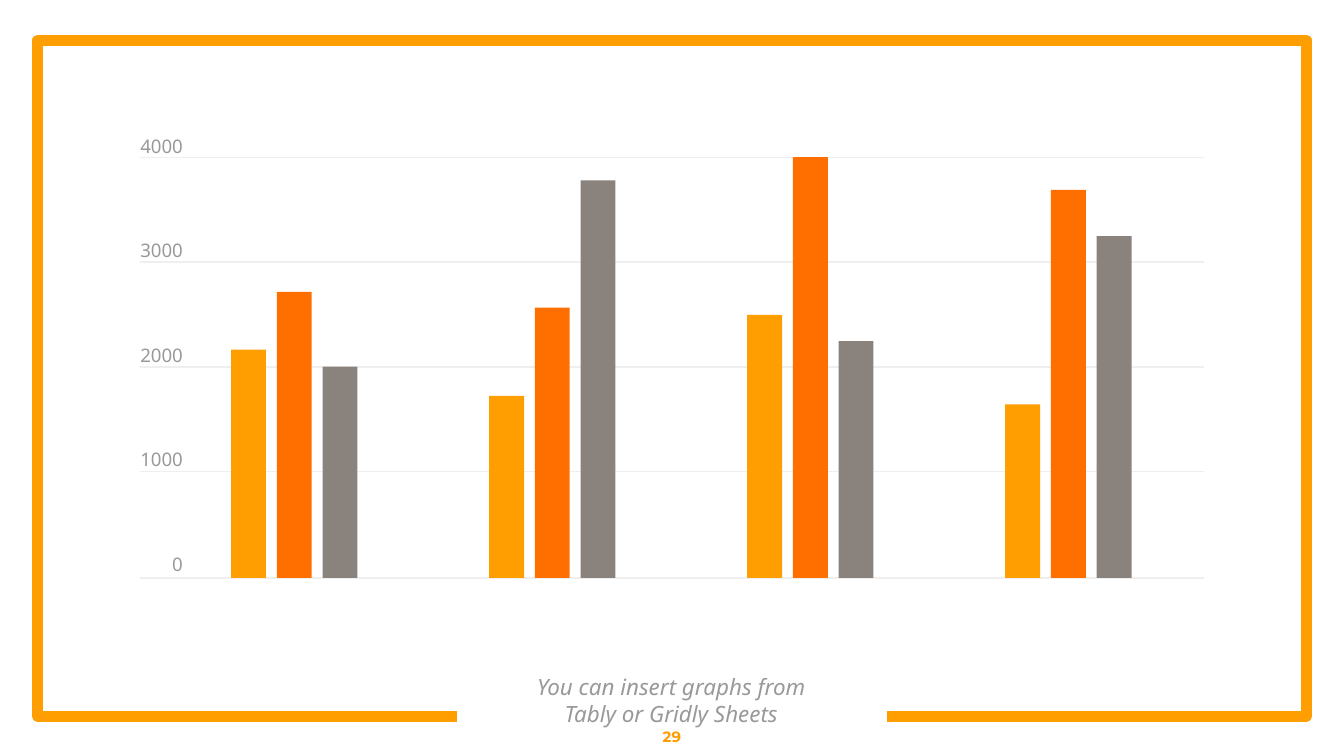
import pptx
import pptx.util
import pptx.dml.color
import pptx.enum.shapes
import pptx.enum.text
import pptx.oxml.xmlchemy
from pptx.enum.text import MSO_ANCHOR, PP_ALIGN

W = 10
H = W * 9 / 16
AMBER, ORANGE, TAUPE = "FF9E00", "FF6F00", "8A827D"
GREY, PALE = "999999", "EFEFEF"
SERIES = [
    (AMBER, (2170, 1730, 2500, 1650)),
    (ORANGE, (2720, 2570, 4000, 3690)),
    (TAUPE, (2010, 3780, 2250, 3250)),
]
TICKS = (4000, 3000, 2000, 1000, 0)


def inch(v):
    return pptx.util.Inches(v)


def rgb(color):
    return pptx.dml.color.RGBColor.from_string(color)


def fill_text(sp, lines, font, size, color, align, anchor=MSO_ANCHOR.TOP,
              inset=0.1, bold=False, italic=False, before=0):
    tf = sp.text_frame
    tf.word_wrap = True
    tf.auto_size = pptx.enum.text.MSO_AUTO_SIZE.NONE
    tf.vertical_anchor = anchor
    tf.margin_left = tf.margin_right = inch(inset)
    tf.margin_top = tf.margin_bottom = inch(inset)
    tf.text = "\n".join(lines)
    for p in tf.paragraphs:
        p.alignment = align
        p.space_before = pptx.util.Pt(before)
        p.font.name = font
        p.font.size = pptx.util.Pt(size)
        p.font.bold = bold
        p.font.italic = italic
        p.font.color.rgb = rgb(color)
    return tf


def draw_frame(s, box, gap):
    """Open border whose bottom side leaves a centred gap."""
    x, y, w, h = box
    right, bottom, mid = x + w, y + h, x + w / 2
    points = [(mid - gap / 2, bottom), (x, bottom), (x, y), (right, y),
              (right, bottom), (mid + gap / 2, bottom)]
    # The builder rounds to whole units, so work in hundredths of an inch
    start, *rest = [(round(px * 100), round(py * 100)) for px, py in points]
    fb = s.shapes.build_freeform(*start, scale=inch(0.01))
    fb.add_line_segments(rest, close=False)
    sp = fb.convert_to_shape()
    sp.shadow.inherit = False
    sp.fill.background()
    sp.line.color.rgb = rgb(AMBER)
    sp.line.width = pptx.util.Pt(6)


def draw_footer(s, box):
    """Caption in the border's gap, with the page number below it."""
    sp = s.placeholders[1]
    sp.left, sp.top, sp.width, sp.height = map(inch, box)
    fill_text(sp, ["You can insert graphs from\vTably or Gridly Sheets"],
              "Noto Sans", 12, GREY, PP_ALIGN.CENTER, MSO_ANCHOR.BOTTOM,
              italic=True, before=3.6)
    number = s.shapes.add_textbox(0, inch(5.33), inch(W), inch(0.3))
    fill_text(number, ["29"], "Montserrat", 8, AMBER,
              PP_ALIGN.CENTER, MSO_ANCHOR.MIDDLE, bold=True)


def draw_bars(s, box):
    """Gridlines, value labels and grouped bars."""
    x, y, w, h = box
    base = y + h

    # Gridlines: the lowest one sits on the base of the bars
    for i in range(len(TICKS)):
        gy = base if i == len(TICKS) - 1 else y + 0.78 * i
        line = s.shapes.add_connector(
            pptx.enum.shapes.MSO_CONNECTOR.STRAIGHT,
            inch(x), inch(gy), inch(x + w), inch(gy))
        line.line.color.rgb = rgb(PALE)
        line.line.width = pptx.util.Pt(0.75)
        line._element.spPr.append(
            pptx.oxml.xmlchemy.OxmlElement("a:effectLst"))

    # Value labels, one paragraph for each gridline
    labels = s.shapes.add_textbox(
        inch(x - 0.07), inch(y - 0.17), inch(0.39), inch(h + 0.18))
    tf = fill_text(labels, [str(t) for t in TICKS], "Noto Sans", 10, GREY,
                   PP_ALIGN.RIGHT, inset=0, before=44)
    tf.paragraphs[0].space_before = 0
    tf.paragraphs[-1].space_after = pptx.util.Pt(44)

    # Bars, group by group
    group_step, bar_step, bar_w = 1.92, 0.34, 0.26
    for i in range(len(SERIES[0][1])):
        for j, (color, values) in enumerate(SERIES):
            bar_h = h * values[i] / TICKS[0]
            bx = x + 0.68 + group_step * i + bar_step * j
            sp = s.shapes.add_shape(
                pptx.enum.shapes.MSO_SHAPE.RECTANGLE,
                inch(bx), inch(base - bar_h), inch(bar_w), inch(bar_h))
            sp.shadow.inherit = False
            sp.fill.solid()
            sp.fill.fore_color.rgb = rgb(color)
            sp.line.fill.background()


def main():
    prs = pptx.Presentation()
    prs.slide_width, prs.slide_height = inch(W), inch(H)
    # The section layout has a body placeholder; its empty title goes
    s = prs.slides.add_slide(prs.slide_layouts[2])
    title = s.shapes.title._element
    title.getparent().remove(title)
    draw_frame(s, (0.28, 0.3, 9.44, 5.03), 3.21)
    draw_footer(s, (3.39, 4.94, 3.21, 0.57))
    draw_bars(s, (1.04, 1.17, 7.92, 3.13))
    prs.save("out.pptx")


if __name__ == "__main__":
    main()
